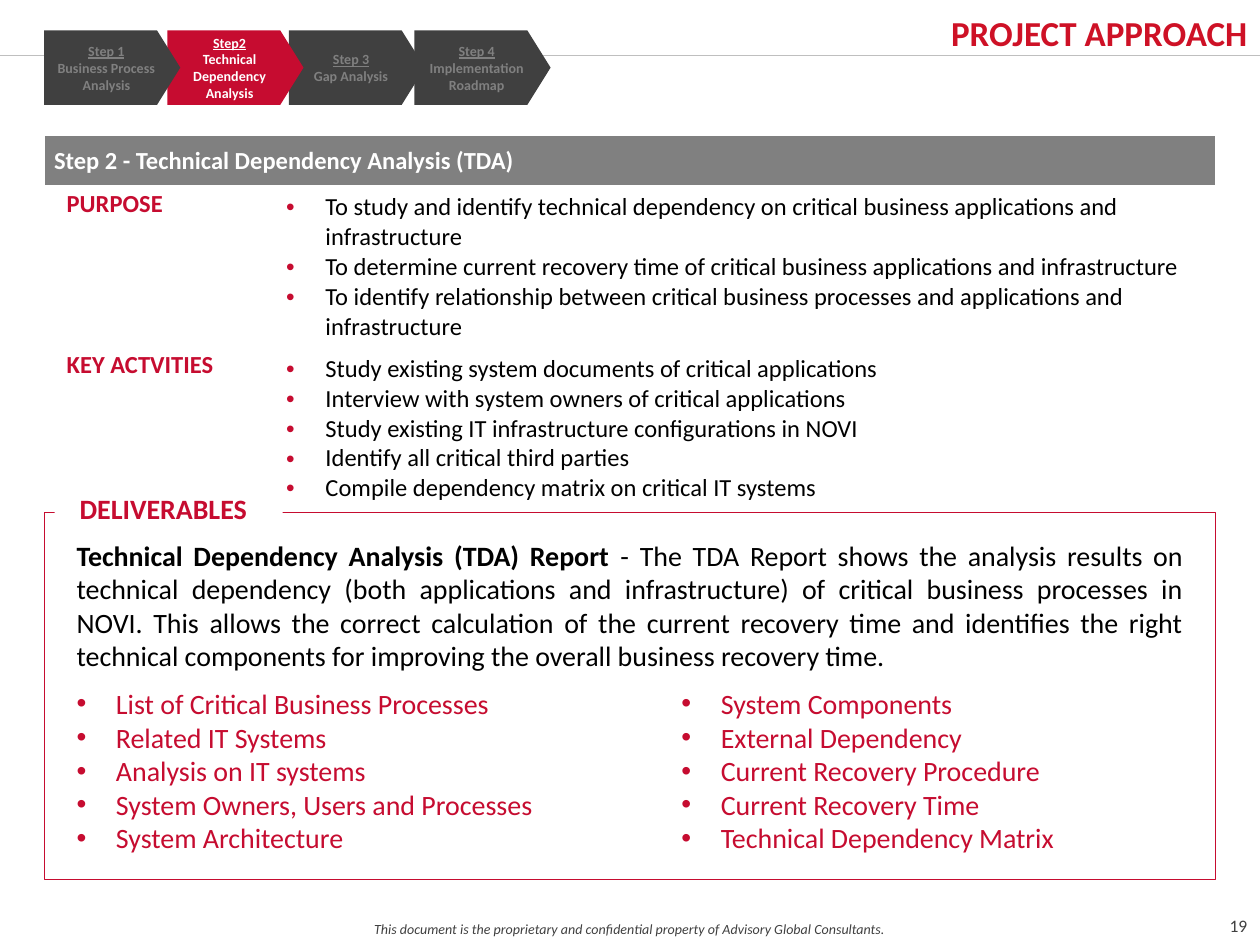
from lxml import etree
from pptx import Presentation
from pptx.dml.color import RGBColor
from pptx.enum import shapes, text
from pptx.oxml.ns import qn
from pptx.util import Pt

COLORS = {
    "title": "CE1126", "red": "C60C30", "dark": "404040", "grey": "808080",
    "rule": "BFBFBF", "white": "FFFFFF", "black": "000000",
}
ALIGN = text.PP_ALIGN
HANG = 22.5

STEPS = [
    ("Step 1", "Business Process Analysis", 25.2),
    ("Step2", "Technical Dependency Analysis", 95.6),
    ("Step 3", "Gap Analysis", 165),
    ("Step 4", "Implementation Roadmap", 236.8),
]
CURRENT_STEP = "Step2"

SECTIONS = [
    ("PURPOSE", 84, [
        "To study and identify technical dependency on critical business applications and infrastructure",
        "To determine current recovery time of critical business applications and infrastructure",
        "To identify relationship between critical business processes and applications and infrastructure",
    ]),
    ("KEY ACTVITIES", 96, [
        "Study existing system documents of critical applications",
        "Interview with system owners of critical applications",
        "Study existing IT infrastructure configurations in NOVI",
        "Identify all critical third parties",
        "Compile dependency matrix on critical IT systems",
    ]),
]

REPORT_NAME = "Technical Dependency Analysis (TDA) Report "
REPORT_SUMMARY = (
    "- The TDA Report shows the analysis results on technical dependency (both "
    "applications and infrastructure) of critical business processes in NOVI. This "
    "allows the correct calculation of the current recovery time and identifies the "
    "right technical components for improving the overall business recovery time."
)
REPORT_CONTENTS = [
    (36.7, 340, [
        "List of Critical Business Processes", "Related IT Systems",
        "Analysis on IT systems", "System Owners, Users and Processes",
        "System Architecture",
    ]),
    (382.3, 306, [
        "System Components", "External Dependency", "Current Recovery Procedure",
        "Current Recovery Time", "Technical Dependency Matrix",
    ]),
]


def rgb(name):
    return RGBColor.from_string(COLORS[name])


def add_bullet(paragraph):
    """Give the paragraph a red bullet with a hanging indent."""
    props = paragraph._p.get_or_add_pPr()
    props.set("marL", str(Pt(HANG)))
    props.set("indent", str(-Pt(HANG)))
    color = etree.SubElement(props, qn("a:buClr"))
    etree.SubElement(color, qn("a:srgbClr"), val=COLORS["red"])
    etree.SubElement(props, qn("a:buFont"), typeface="Arial")
    etree.SubElement(props, qn("a:buChar"), char="•")


def write(frame, lines, size, color, bold=False, align=ALIGN.LEFT, bullets=False):
    """Write one paragraph per line and return the paragraphs."""
    frame.word_wrap = True
    for index, line in enumerate(lines):
        paragraph = frame.add_paragraph() if index else frame.paragraphs[0]
        if bullets:
            add_bullet(paragraph)
        paragraph.alignment = align
        font = paragraph.font
        font.name, font.size, font.bold = "Calibri", Pt(size), bold
        font.color.rgb = rgb(color)
        paragraph.add_run().text = line
    return frame.paragraphs


def format_label(paragraph):
    paragraph.line_spacing = Pt(15)
    paragraph._p.get_or_add_pPr().set("marL", str(Pt(7.2)))


def add_text(slide, box, lines, size, color, **style):
    frame = slide.shapes.add_textbox(*map(Pt, box)).text_frame
    return write(frame, lines, size, color, **style)


def add_block(slide, kind, box, fill=None, line=None):
    block = slide.shapes.add_shape(kind, *map(Pt, box))
    block.shadow.inherit = False
    if fill:
        block.fill.solid()
        block.fill.fore_color.rgb = rgb(fill)
    else:
        block.fill.background()
    if line:
        block.line.color.rgb = rgb(line)
        block.line.width = Pt(0.25)
    else:
        block.line.fill.background()
    return block


def add_title(slide, heading):
    title = slide.shapes.title
    title.left, title.top, title.width, title.height = map(Pt, (288.7, 1.4, 431.3, 30.2))
    frame = title.text_frame
    frame.auto_size = text.MSO_AUTO_SIZE.NONE
    frame.vertical_anchor = text.MSO_ANCHOR.TOP
    frame.margin_left, frame.margin_right = 0, Pt(7.2)
    frame.margin_top = frame.margin_bottom = Pt(5)
    write(frame, [heading], 20, "title", bold=True, align=ALIGN.RIGHT)


def add_header_rule(slide):
    rule = slide.shapes.add_connector(
        shapes.MSO_CONNECTOR.STRAIGHT, 0, Pt(31.7), Pt(720), Pt(31.7))
    rule.line.color.rgb = rgb("rule")
    rule.line.width = Pt(0.5)
    etree.SubElement(rule._element.spPr, qn("a:effectLst"))


def add_step(slide, label, name, left):
    current = label == CURRENT_STEP
    arrow = add_block(slide, shapes.MSO_SHAPE.PENTAGON, (left, 17.4, 77.8, 42.5),
                      fill="red" if current else "dark")
    arrow.adjustments[0] = 0.312
    arrow.text_frame.vertical_anchor = text.MSO_ANCHOR.MIDDLE
    paragraphs = write(arrow.text_frame, [label, name], 8,
                       "white" if current else "grey", bold=True, align=ALIGN.CENTER)
    paragraphs[0].font.underline = True


def fill_cell(cell, color=None):
    cell.margin_left = cell.margin_right = Pt(5.4)
    if color:
        cell.fill.solid()
        cell.fill.fore_color.rgb = rgb(color)
    else:
        cell.fill.background()


def add_step_table(slide):
    heights = [29] + [height for _, height, _ in SECTIONS]
    table = slide.shapes.add_table(
        len(heights), 2, Pt(25.5), Pt(77.4), Pt(669), Pt(sum(heights))).table
    table.horz_banding = False
    for column, width in zip(table.columns, (132.6, 536.4)):
        column.width = Pt(width)
    for row, height in zip(table.rows, heights):
        row.height = Pt(height)

    header = table.cell(0, 0)
    header.merge(table.cell(0, 1))
    fill_cell(header, "grey")
    header.vertical_anchor = text.MSO_ANCHOR.MIDDLE
    write(header.text_frame, ["Step 2 - Technical Dependency Analysis (TDA)"],
          14, "white", bold=True)

    for row, (label, _, points) in enumerate(SECTIONS, start=1):
        label_cell, points_cell = table.cell(row, 0), table.cell(row, 1)
        fill_cell(label_cell)
        fill_cell(points_cell, "white")
        format_label(write(label_cell.text_frame, [label], 14, "red", bold=True)[0])
        write(points_cell.text_frame, points, 14, "black", bullets=True)


def add_deliverables(slide):
    rectangle = shapes.MSO_SHAPE.RECTANGLE
    add_block(slide, rectangle, (25.2, 292.6, 669, 209.8), line="red")
    tab = add_block(slide, rectangle, (31.2, 281.5, 130.3, 23), fill="white")
    tab.text_frame.vertical_anchor = text.MSO_ANCHOR.TOP
    format_label(write(tab.text_frame, ["DELIVERABLES"], 16, "red", bold=True)[0])

    summary = add_text(slide, (36.7, 304, 646.6, 85), [REPORT_NAME, ][:1], 16, "black",
                       align=ALIGN.JUSTIFY)[0]
    summary.runs[0].font.bold = True
    summary.add_run().text = REPORT_SUMMARY
    for left, width, contents in REPORT_CONTENTS:
        add_text(slide, (left, 388.8, width, 104.4), contents, 16, "red", bullets=True)


def add_footer(slide):
    notice = ("This document is the proprietary and confidential property of "
              "Advisory Global Consultants.")
    add_text(slide, (0, 522.7, 720, 17.3), [notice], 8, "dark",
             align=ALIGN.CENTER)[0].font.italic = True
    add_text(slide, (691.2, 519.2, 33, 24), ["19"], 10, "dark", align=ALIGN.CENTER)


def main():
    deck = Presentation()
    deck.slide_width, deck.slide_height = Pt(720), Pt(540)
    slide = deck.slides.add_slide(deck.slide_layouts[5])
    add_header_rule(slide)
    add_title(slide, "PROJECT APPROACH")
    for label, name, left in reversed(STEPS):
        add_step(slide, label, name, left)
    add_step_table(slide)
    add_deliverables(slide)
    add_footer(slide)
    deck.save("out.pptx")


if __name__ == "__main__":
    main()
